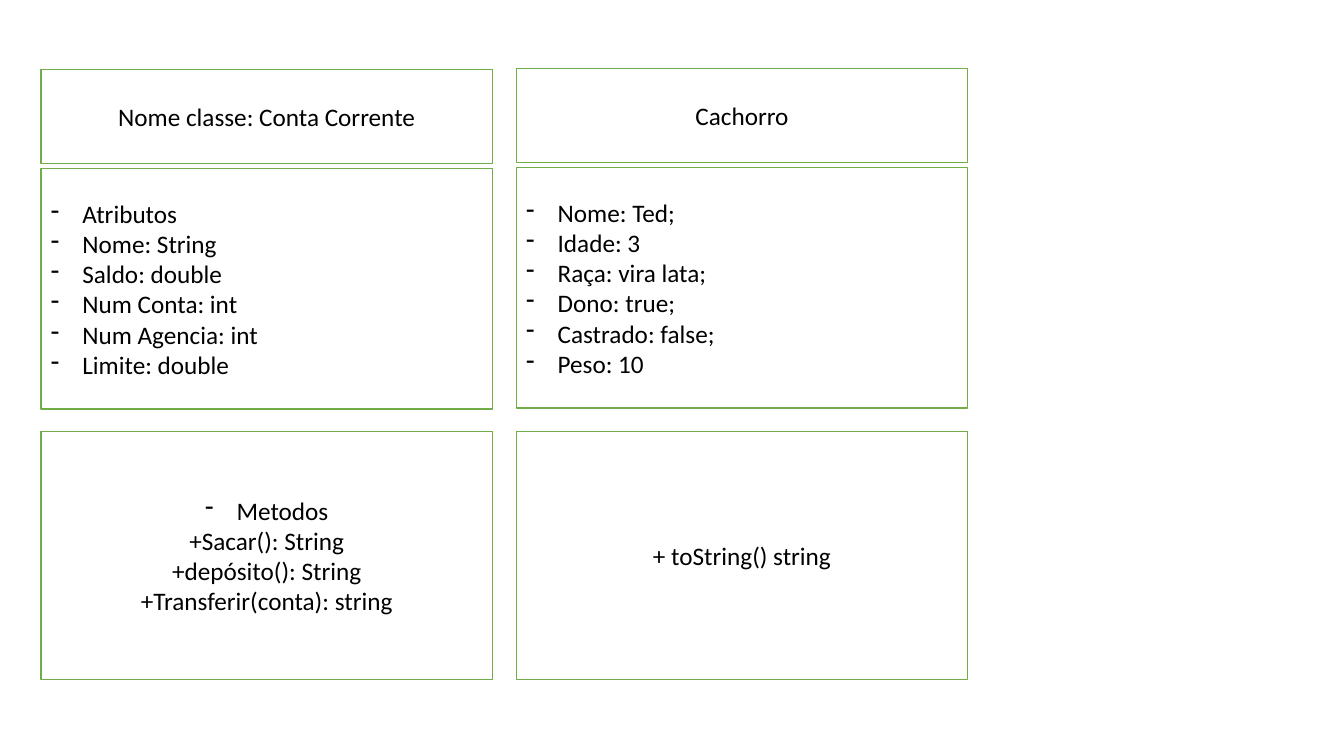
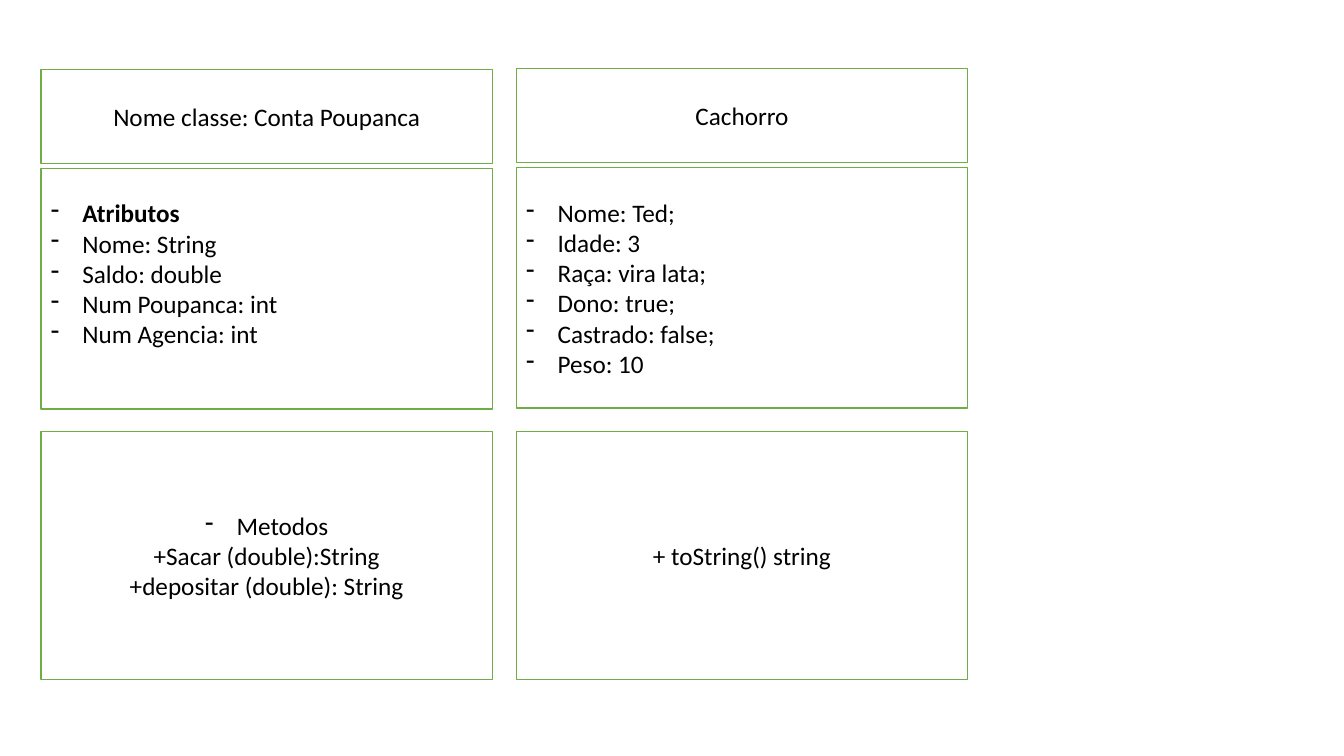
import dataclasses

import pptx
import pptx.dml.color
import pptx.enum.shapes
import pptx.enum.text
import pptx.oxml
import pptx.oxml.ns
import pptx.util

Pt = pptx.util.Pt
ALIGN = pptx.enum.text.PP_ALIGN
GREEN, WHITE, BLACK = "70AD47", "FFFFFF", "000000"
FONT = {"name": "Calibri", "size": Pt(18)}
FRAME = {"word_wrap": True, "vertical_anchor": pptx.enum.text.MSO_ANCHOR.MIDDLE}
LINE_HEIGHT, MARGIN, INDENT = 22, 3.6, 22.5
ATTRIBUTE_ROWS = 6


@dataclasses.dataclass
class Entry:
    """One line of text in a compartment of a class card."""
    text: str
    dash: bool = False
    bold: bool = False


@dataclasses.dataclass
class ClassCard:
    """A class with its heading, attributes and methods."""
    heading: str
    attributes: list
    methods: list


def colour(hex_code):
    """Return the RGB colour of a hex string."""
    return pptx.dml.color.RGBColor.from_string(hex_code)


def apply_format(target, values):
    """Set each attribute named in a dict."""
    for name, value in values.items():
        setattr(target, name, value)


def add_dash(paragraph):
    """Give a paragraph a hanging dash."""
    properties = paragraph._p.get_or_add_pPr()
    properties.set("marL", str(Pt(INDENT)))
    properties.set("indent", str(-Pt(INDENT)))
    dash = pptx.oxml.parse_xml(
        f'<a:buChar {pptx.oxml.ns.nsdecls("a")} char="-"/>')
    properties.append(dash)


def add_compartment(slide, box, entries, align, spare_rows=0):
    """Draw one outlined compartment, keeping spare rows free below its text."""
    compartment = slide.shapes.add_shape(
        pptx.enum.shapes.MSO_SHAPE.RECTANGLE, *map(Pt, box))
    compartment.shadow.inherit = False
    compartment.fill.solid()
    compartment.fill.fore_color.rgb = colour(WHITE)
    compartment.line.color.rgb = colour(GREEN)
    compartment.line.width = Pt(1)
    frame = compartment.text_frame
    apply_format(frame, FRAME)
    frame.margin_bottom = Pt(MARGIN + spare_rows * LINE_HEIGHT)
    for index, entry in enumerate(entries):
        paragraph = frame.add_paragraph() if index else frame.paragraphs[0]
        paragraph.alignment = align
        if entry.dash:
            add_dash(paragraph)
        run = paragraph.add_run()
        run.text = entry.text
        apply_format(run.font, {**FONT, "bold": entry.bold})
        run.font.color.rgb = colour(BLACK)


def add_class_card(slide, box, card):
    """Stack heading and attributes from the top of a box, methods at its foot."""
    left, top, width, height = box
    heading_height, attributes_height, methods_height = 67, 172, 177
    add_compartment(slide, (left, top, width, heading_height),
                    [Entry(card.heading)], ALIGN.CENTER)
    add_compartment(slide, (left, top + 70.5, width, attributes_height),
                    card.attributes, ALIGN.LEFT,
                    ATTRIBUTE_ROWS - len(card.attributes))
    add_compartment(slide, (left, top + height - methods_height, width, methods_height),
                    card.methods, ALIGN.CENTER)


def add_class_slide(deck, account):
    """Add a slide that sets an account class beside the dog object."""
    slide = deck.slides.add_slide(deck.slide_layouts[6])
    width, bottom = 322.5, 485.25
    for left, top, card in ((29.25, 49.75, account), (368.75, 49, DOG)):
        add_class_card(slide, (left, top, width, bottom - top), card)


def dashed(*texts):
    """Return dashed entries for the given texts."""
    return [Entry(text, dash=True) for text in texts]


def plain(*texts):
    """Return entries without a dash."""
    return [Entry(text) for text in texts]


DOG = ClassCard(
    "Cachorro",
    dashed("Nome: Ted;", "Idade: 3", "Raça: vira lata;", "Dono: true;",
           "Castrado: false;", "Peso: 10"),
    plain("+ toString() string"))

CHECKING = ClassCard(
    "Nome classe: Conta Corrente",
    dashed("Atributos", "Nome: String", "Saldo: double", "Num Conta: int",
           "Num Agencia: int", "Limite: double"),
    dashed("Metodos") + plain("+Sacar(): String", "+depósito(): String",
                              "+Transferir(conta): string"))

SAVINGS = ClassCard(
    "Nome classe: Conta Poupanca",
    [Entry("Atributos", dash=True, bold=True)]
    + dashed("Nome: String", "Saldo: double", "Num Poupanca: int",
             "Num Agencia: int"),
    dashed("Metodos") + plain("+Sacar (double):String",
                              "+depositar (double): String"))

deck = pptx.Presentation()
apply_format(deck, {"slide_width": Pt(960), "slide_height": Pt(540)})
for account in (CHECKING, SAVINGS):
    add_class_slide(deck, account)
deck.save("out.pptx")
